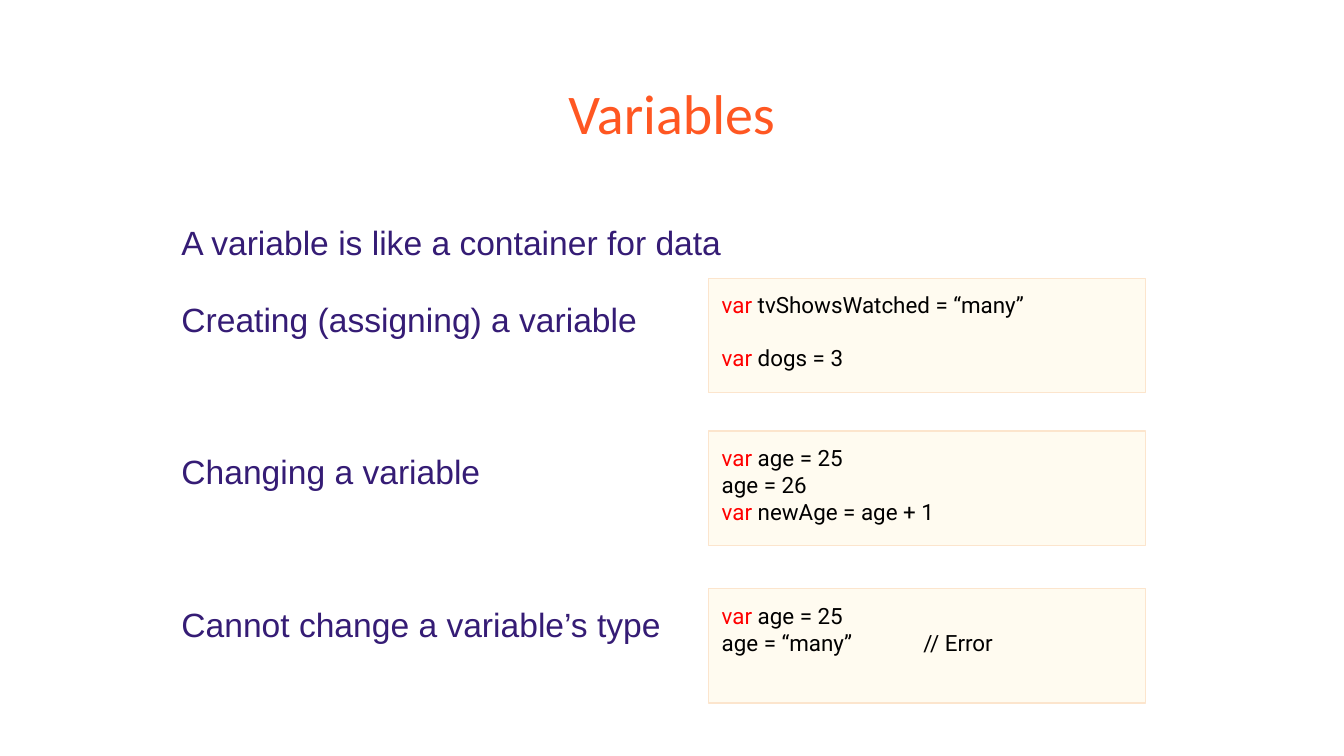
from pptx import Presentation
from pptx.dml.color import RGBColor
from pptx.enum.shapes import MSO_SHAPE as Shape
from pptx.enum.text import MSO_ANCHOR as Anchor, MSO_AUTO_SIZE as AutoSize, PP_ALIGN as Align
from pptx.util import Cm, Pt

KEYWORD = "var"
TOPICS = [
    ("A variable is like a container for data", 0),
    ("Creating (assigning) a variable", 16),
    ("Changing a variable", 57),
    ("Cannot change a variable’s type", 57),
]
EXAMPLES = [
    (5.26, [("var tvShowsWatched = “many”", 0), ("var dogs = 3", 14)]),
    (8.15, [("var age = 25", 0), ("age = 26", 0), ("var newAge = age + 1", 0)]),
    (11.13, [("var age = 25", 0), ("age = “many”\t\t// Error", 0)]),
]


def color(value):
    """Return the colour for a hex string."""
    return RGBColor.from_string(value)


def style_run(run, font_name, size, value):
    """Set font, size and colour of a run."""
    run.font.name = font_name
    run.font.size = Pt(size)
    run.font.color.rgb = color(value)


def prepare_frame(text_frame):
    """Give a text frame even margins, wrapping and a top anchor."""
    text_frame.margin_left = text_frame.margin_right = Cm(0.25)
    text_frame.margin_top = text_frame.margin_bottom = Cm(0.25)
    text_frame.word_wrap = True
    text_frame.auto_size = AutoSize.NONE
    text_frame.vertical_anchor = Anchor.TOP


def fill_lines(text_frame, lines):
    """Write lines with their space before and return the paragraphs."""
    text_frame.text = "\n".join(text for text, _ in lines)
    for paragraph, (_, space) in zip(text_frame.paragraphs, lines):
        paragraph.alignment = Align.LEFT
        paragraph.space_before = Pt(space)
    return text_frame.paragraphs


def format_title(slide, text):
    """Place and format the slide title."""
    title = slide.shapes.title
    title.left, title.top, title.width, title.height = Cm(0.86), Cm(1.24), Cm(23.67), Cm(1.6)
    prepare_frame(title.text_frame)
    title.text_frame.text = text
    paragraph = title.text_frame.paragraphs[0]
    paragraph.alignment = Align.CENTER
    style_run(paragraph.runs[0], "Calibri", 30, "FF5722")


def add_topics(slide, topics):
    """Add the list of topics."""
    box = slide.shapes.add_textbox(Cm(3.18), Cm(3.84), Cm(20.32), Cm(9.5))
    prepare_frame(box.text_frame)
    for paragraph in fill_lines(box.text_frame, topics):
        paragraph.line_spacing = 1.15
        style_run(paragraph.runs[0], "Arial", 18, "351C75")


def add_code_box(slide, top, lines):
    """Add a code example with its keywords highlighted."""
    box = slide.shapes.add_shape(Shape.RECTANGLE, Cm(13.39), Cm(top), Cm(8.26), Cm(2.16))
    box.shadow.inherit = False
    box.fill.solid()
    box.fill.fore_color.rgb = color("FFFBF0")
    box.line.color.rgb = color("FCE5CD")
    box.line.width = Pt(0.75)
    prepare_frame(box.text_frame)
    for paragraph in fill_lines(box.text_frame, lines):
        code = paragraph.text
        if code.startswith(KEYWORD):
            paragraph.text = KEYWORD
            paragraph.add_run().text = code.removeprefix(KEYWORD)
        for run in paragraph.runs:
            style_run(run, "Roboto", 12, "FF0000" if run.text == KEYWORD else "000000")


def main():
    """Build and save the presentation."""
    presentation = Presentation()
    presentation.slide_width, presentation.slide_height = Cm(25.4), Cm(14.29)
    slide = presentation.slides.add_slide(presentation.slide_layouts[5])
    format_title(slide, "Variables")
    add_topics(slide, TOPICS)
    for top, lines in EXAMPLES:
        add_code_box(slide, top, lines)
    presentation.save("out.pptx")


if __name__ == "__main__":
    main()
